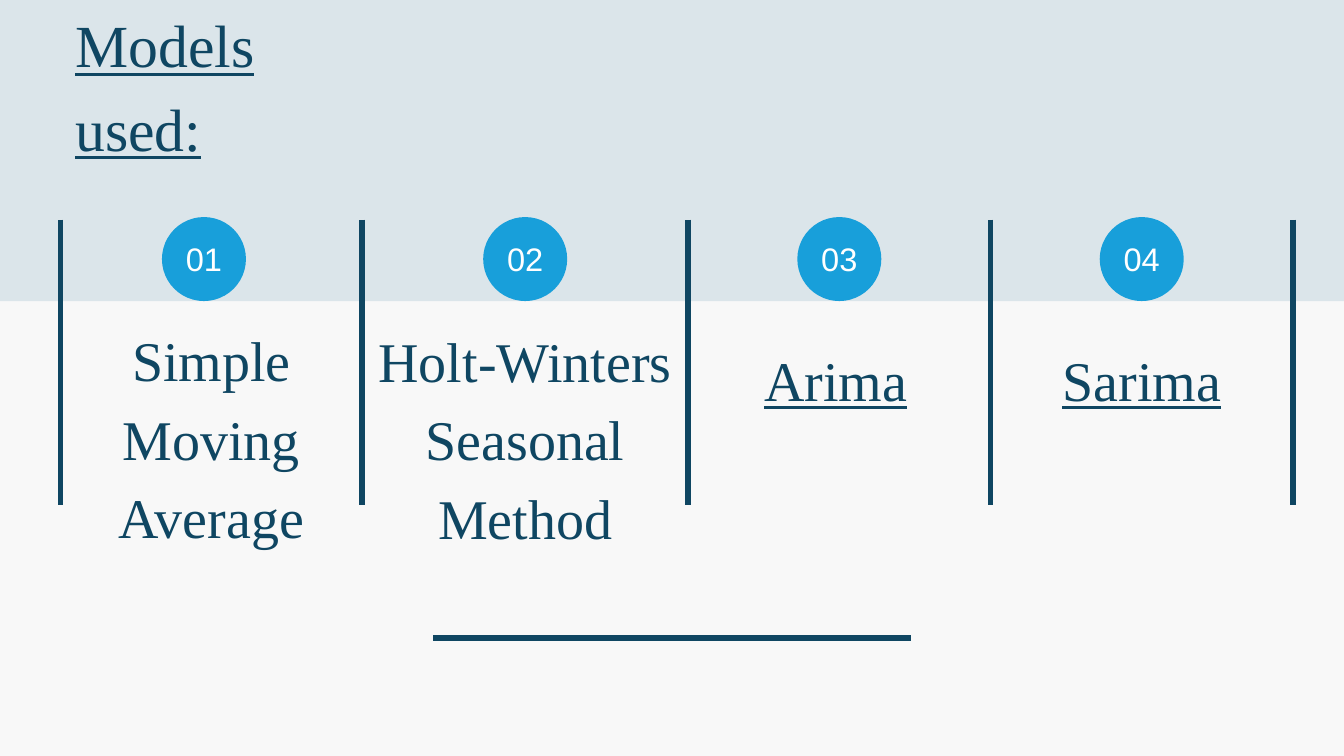
from lxml import etree
from pptx import Presentation
from pptx.dml.color import RGBColor
from pptx.enum.shapes import MSO_CONNECTOR, MSO_SHAPE
from pptx.enum.text import MSO_ANCHOR, MSO_AUTO_SIZE, PP_ALIGN
from pptx.oxml.ns import qn
from pptx.util import Inches, Pt

LEFT, CENTER = PP_ALIGN.LEFT, PP_ALIGN.CENTER
MIDDLE = MSO_ANCHOR.MIDDLE
GROW = MSO_AUTO_SIZE.SHAPE_TO_FIT_TEXT
STRAIGHT = MSO_CONNECTOR.STRAIGHT
RECT, OVAL = MSO_SHAPE.RECTANGLE, MSO_SHAPE.OVAL

WIDE, HIGH = 20, 11.25
NAVY, BLUE, PALE, PAPER, WHITE = "0F4662", "189FDA", "DBE5EA", "F8F8F8", "FFFFFF"
SERIF, SANS = "Times New Roman", "Arial"

TITLE = "Models used:"
BARS = [0.9, 5.39, 10.24, 14.74, 19.24]
BAND, TOP, END = 4.48, 3.27, 7.52
DISC = 1.25
RULE, RULE_Y = 7.1, 9.49

MODELS = [
    {"name": "Simple Moving Average", "wide": 4.45, "top": 4.68, "high": 3.46, "shift": -0.11},
    {"name": "Holt-Winters Seasonal Method", "wide": 4.86, "top": 4.69, "high": 3.42},
    {"name": "Arima", "wide": 2.24, "top": 4.97, "high": 1.12, "line": True, "align": LEFT},
    {"name": "Sarima", "wide": 4, "top": 4.97, "high": 1.12, "line": True},
]

deck = Presentation()
deck.slide_width, deck.slide_height = Inches(WIDE), Inches(HIGH)
slide = deck.slides.add_slide(deck.slide_layouts[6])


def color(code):
    return RGBColor.from_string(code)


def add_fill(kind, x, y, w, h, code):
    shape = slide.shapes.add_shape(kind, Inches(x), Inches(y), Inches(w), Inches(h))
    shape.shadow.inherit = False
    shape.fill.solid()
    shape.fill.fore_color.rgb = color(code)
    shape.line.fill.background()
    return shape


def add_line(x1, y1, x2, y2):
    line = slide.shapes.add_connector(STRAIGHT, Inches(x1), Inches(y1), Inches(x2), Inches(y2))
    line.line.color.rgb = color(NAVY)
    line.line.width = Pt(6)
    etree.SubElement(line._element.spPr, qn("a:effectLst"))


def set_text(frame, text, size, lead, font, code, align=CENTER, under=False):
    frame.word_wrap = True
    frame.margin_left = frame.margin_right = frame.margin_top = frame.margin_bottom = 0
    frame.text = text
    para = frame.paragraphs[0]
    para.alignment = align
    para.line_spacing = Pt(lead)
    face = para.runs[0].font
    face.name, face.size = font, Pt(size)
    face.color.rgb = color(code)
    if under:
        face.underline = True


def add_text(x, y, w, h, *args):
    box = slide.shapes.add_textbox(Inches(x), Inches(y), Inches(w), Inches(h))
    set_text(box.text_frame, *args)
    box.text_frame.auto_size = GROW


back = slide.background.fill
back.solid()
back.fore_color.rgb = color(PAPER)

add_fill(RECT, 0, 0, WIDE, BAND, PALE)
add_line((WIDE - RULE) / 2, RULE_Y, (WIDE + RULE) / 2, RULE_Y)
add_text(1.12, -0.06, 4.26, 1.19, TITLE, 64, 89.6, SERIF, NAVY, LEFT, True)

for x in BARS:
    add_line(x, TOP, x, END)

for i, model in enumerate(MODELS):
    mid = (BARS[i] + BARS[i + 1]) / 2
    add_text(mid - model["wide"] / 2, model["top"], model["wide"], model["high"],
             model["name"], 60, 84, SERIF, NAVY,
             model.get("align", CENTER), model.get("line", False))
    disc = add_fill(OVAL, mid + model.get("shift", 0) - DISC / 2, BAND - DISC, DISC, DISC, BLUE)
    set_text(disc.text_frame, f"{i + 1:02}", 34.9, 48.9, SANS, WHITE)
    disc.text_frame.vertical_anchor = MIDDLE
    disc.text_frame.margin_bottom = Inches(0.12)

deck.save("out.pptx")
